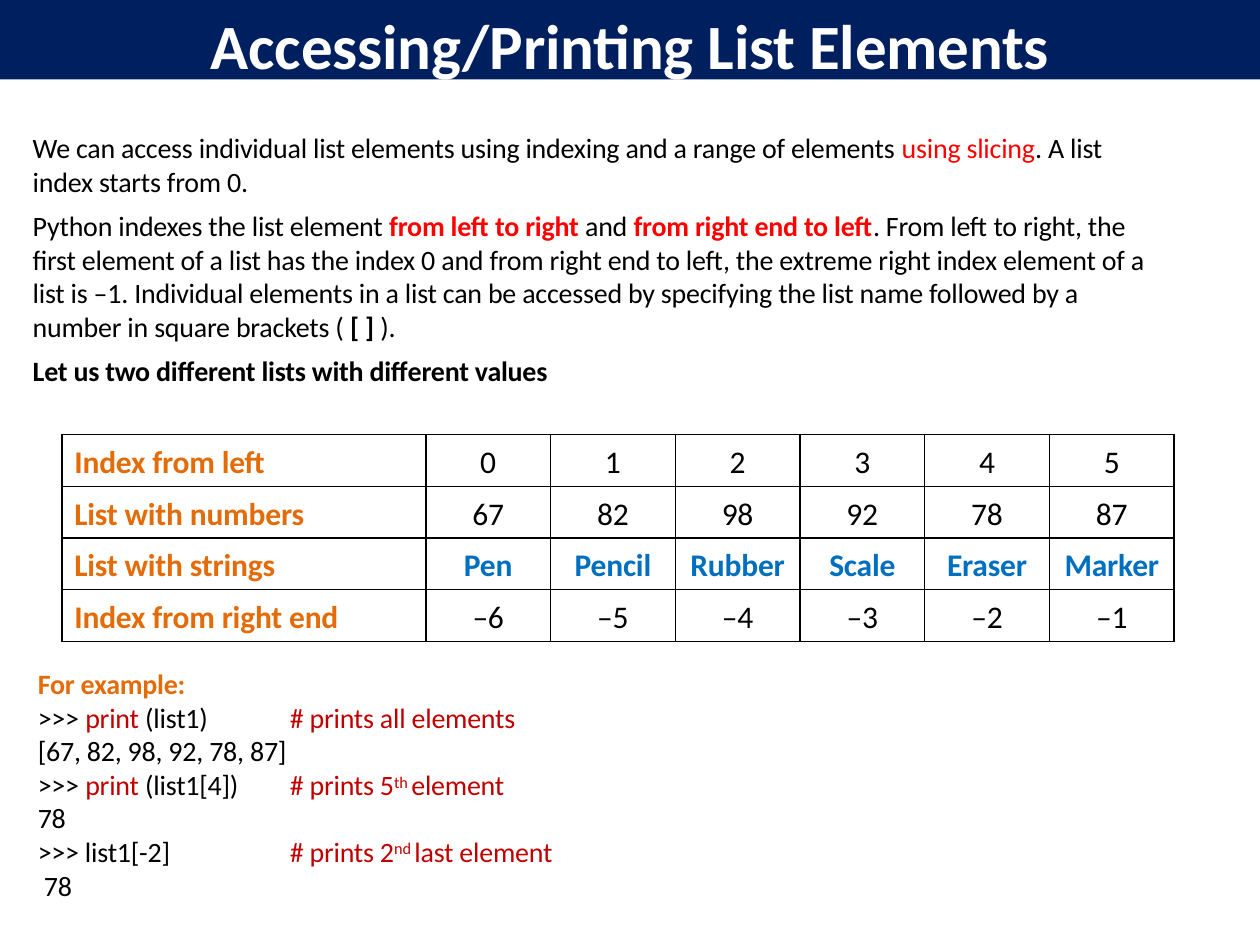
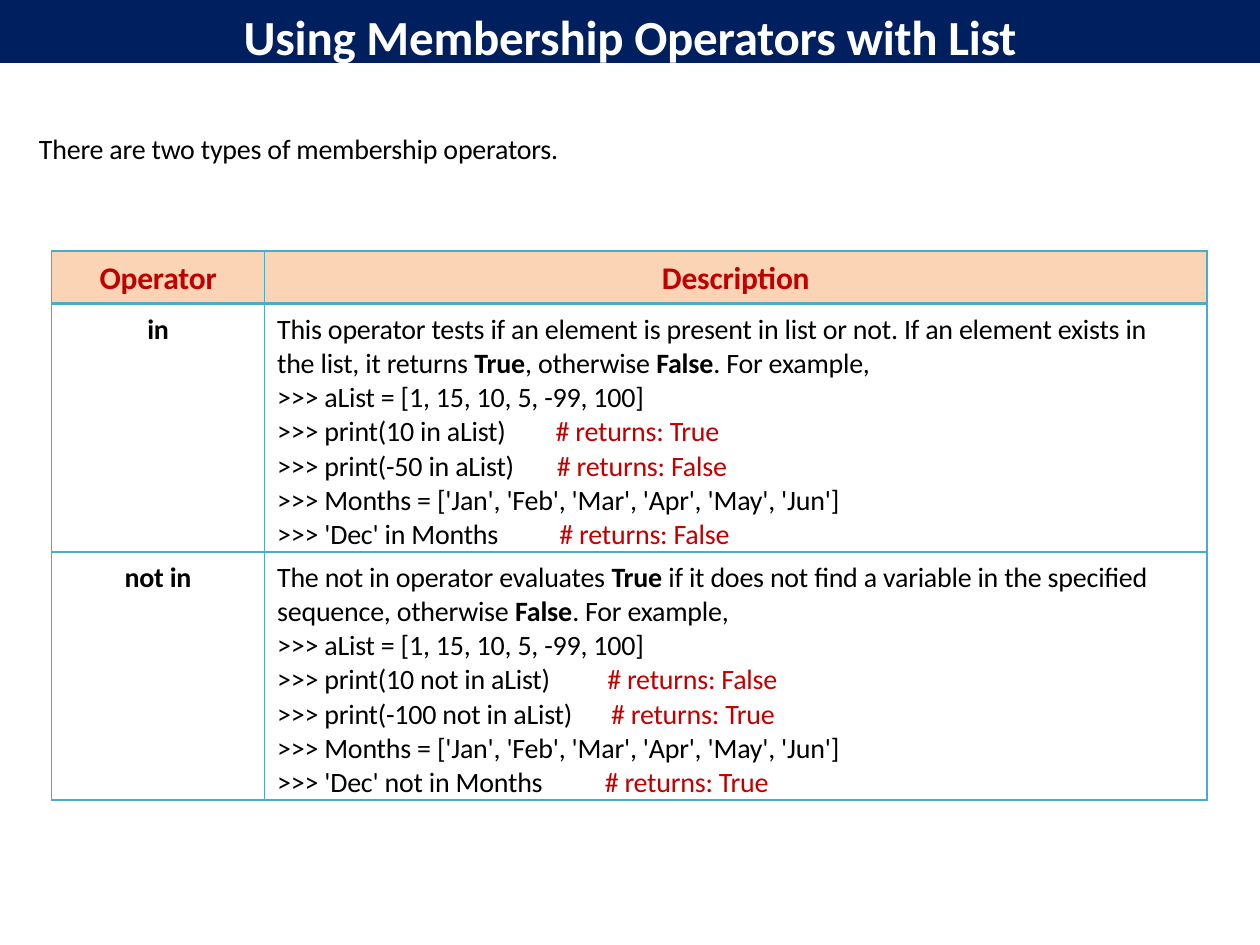
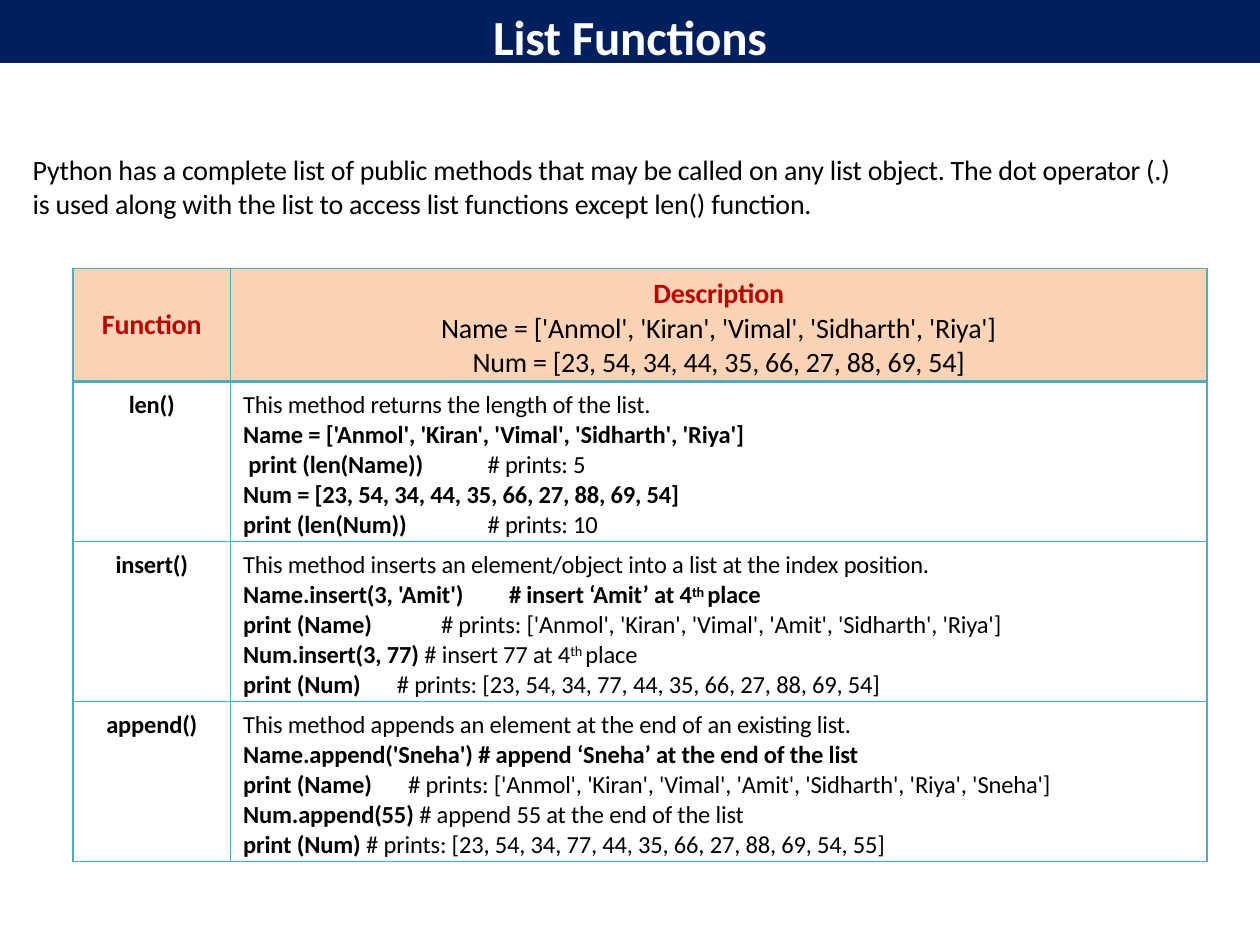
from pptx import Presentation
from pptx.dml.color import RGBColor
from pptx.enum.shapes import MSO_SHAPE
from pptx.enum.text import MSO_ANCHOR, PP_ALIGN
from pptx.oxml import parse_xml
from pptx.oxml.ns import nsdecls
from pptx.util import Inches, Pt

FACE = "Calibri"
TONES = {
    "navy": "001F5F", "white": "FFFFFF", "black": "000000", "red": "FF0000",
    "crimson": "C00000", "orange": "E36C09", "blue": "006FC0",
    "teal": "4AACC5", "peach": "FBD4B5",
}


def write(frame, lines, size, align=PP_ALIGN.LEFT, gap=0):
    """Fill a frame: a line is one part or a list of parts, led by a tab stop if any.

    A part is plain text or (text, style), where style names a tone, bold or sup.
    """
    for n, line in enumerate(lines):
        para = frame.add_paragraph() if n else frame.paragraphs[0]
        para.alignment = align
        if n and gap:
            para.space_before = Pt(gap)
        parts = line if isinstance(line, list) else [line]
        if isinstance(parts[0], float):
            para._p.get_or_add_pPr().append(parse_xml(
                f'<a:tabLst {nsdecls("a")}><a:tab pos="{Inches(parts[0])}" algn="l"/></a:tabLst>'))
            parts = parts[1:]
        para.font.name = FACE
        para.font.size = Pt(size)
        para.font.color.rgb = RGBColor.from_string(TONES["black"])
        for part in parts:
            text, style = part if isinstance(part, tuple) else (part, "")
            run = para.add_run()
            run.text = text
            props = run._r.get_or_add_rPr()
            props.set("spc", "-10")
            font = para.font if len(parts) == 1 else run.font
            for word in style.split():
                if word == "bold":
                    font.bold = True
                elif word == "sup":
                    props.set("baseline", "26000")
                else:
                    font.color.rgb = RGBColor.from_string(TONES[word])


def grid(page, left, top, cols, highs, cells, sizes, tone, side, head):
    """Add a table; column `side` is left-aligned, sizes are for head and body."""
    table = page.shapes.add_table(
        len(highs), len(cols), Inches(left), Inches(top),
        Inches(sum(cols)), Inches(sum(highs))).table
    table.first_row = table.horz_banding = False
    for col, width in zip(table.columns, cols):
        col.width = Inches(width)
    for r, high in enumerate(highs):
        table.rows[r].height = Inches(high)
        for c, lines in enumerate(cells[r]):
            cell = table.cell(r, c)
            top_row = head and r == 0
            flush = c == side and not top_row
            cell.margin_left = Inches(0.1 if flush else 0)
            cell.margin_right = Inches(0.3 if flush else 0)
            cell.margin_top, cell.margin_bottom = Inches(0.07), 0
            for edge in "LRTB":
                thick = head and (r, edge) in ((0, "B"), (1, "T"))
                cell._tc.get_or_add_tcPr().append(parse_xml(
                    f'<a:ln{edge} {nsdecls("a")} w="{Pt(2.25 if thick else 1)}"><a:solidFill>'
                    f'<a:srgbClr val="{TONES[tone]}"/></a:solidFill></a:ln{edge}>'))
            if top_row:
                cell.fill.solid()
                cell.fill.fore_color.rgb = RGBColor.from_string(TONES["peach"])
            else:
                cell.fill.background()
            write(cell.text_frame, lines, sizes[0] if r == 0 else sizes[1],
                  PP_ALIGN.LEFT if flush else PP_ALIGN.CENTER)
    return table


deck = Presentation()
deck.slide_width, deck.slide_height = Inches(10), Inches(7.5)

# Title bands
pages = []
for title, size, high in [
    ("Accessing/Printing List Elements", 36, 0.63),
    ("Using Membership Operators with List", 28, 0.5),
    ("List Functions", 28, 0.5),
]:
    page = deck.slides.add_slide(deck.slide_layouts[6])
    band = page.shapes.add_shape(MSO_SHAPE.RECTANGLE, 0, 0, deck.slide_width, Inches(high))
    band.shadow.inherit = False
    band.fill.solid()
    band.fill.fore_color.rgb = RGBColor.from_string(TONES["navy"])
    band.line.fill.background()
    frame = band.text_frame
    frame.word_wrap = True
    frame.vertical_anchor = MSO_ANCHOR.TOP
    frame.margin_left = frame.margin_right = frame.margin_bottom = 0
    frame.margin_top = Inches(0.05)
    write(frame, [(title, "white bold")], size, PP_ALIGN.CENTER)
    pages.append(page)
access, member, funcs = pages

# Running text and code
intro = [
    ["We can access individual list elements using indexing and a range of elements ",
     ("using slicing", "red"), ". A list index starts from 0."],
    ["Python indexes the list element ", ("from left to right", "red bold"), " and ",
     ("from right end to left", "red bold"),
     ". From left to right, the first element of a list has the index 0 and from right end "
     "to left, the extreme right index element of a list is –1. Individual elements in a "
     "list can be accessed by specifying the list name followed by a number in square "
     "brackets ( ", ("[ ] ", "bold"), ")."],
    ("Let us two different lists with different values", "bold"),
]
first = [("For example:", "orange bold"), [">>> ", ("print ", "crimson"), "(list1)"]]
second = [[">>> ", ("print ", "crimson"), "(list1[4])"], "78", ">>> list1[-2]", " 78"]
fifth = [[("# prints 5", "crimson"), ("th ", "crimson sup"), ("element", "crimson")]]
last = [[("# prints 2", "crimson"), ("nd ", "crimson sup"), ("last element", "crimson")]]
methods = ["Python has a complete list of public methods that may be called on any list "
           "object. The dot operator (.) is used along with the list to access list "
           "functions except len() function."]
for page, left, top, width, high, lines in [
    (access, 0.25, 1.02, 9.04, 2.06, intro),
    (access, 0.29, 5.27, 1.41, 0.56, first),
    (access, 2.29, 5.54, 1.85, 0.29, [("# prints all elements", "crimson")]),
    (access, 0.29, 5.8, 2.04, 0.29, ["[67, 82, 98, 92, 78, 87]"]),
    (access, 2.29, 6.07, 1.85, 0.29, fifth),
    (access, 2.29, 6.6, 2.25, 0.29, last),
    (access, 0.29, 6.07, 1.65, 1.09, second),
    (member, 0.3, 1.02, 4.23, 0.29, ["There are two types of membership operators."]),
    (funcs, 0.25, 1.19, 9.24, 0.56, methods),
]:
    frame = page.shapes.add_textbox(
        Inches(left), Inches(top), Inches(width), Inches(high)).text_frame
    frame.word_wrap = True
    frame.margin_left, frame.margin_top = Inches(0.01), Inches(0.02)
    frame.margin_right, frame.margin_bottom = Inches(0.1 if width > 9 else 0), 0
    write(frame, lines, 16, gap=6 if lines is intro else 0)

# Two lists with their indexes
rows = [
    ("Index from left", range(6), ""),
    ("List with numbers", [67, 82, 98, 92, 78, 87], ""),
    ("List with strings", ["Pen", "Pencil", "Rubber", "Scale", "Eraser", "Marker"], "blue bold"),
    ("Index from right end", [f"–{n}" for n in range(6, 0, -1)], ""),
]
cells = [[[(name, "orange bold")]] + [[(str(item), style)] for item in items]
         for name, items, style in rows]
grid(access, 0.49, 3.45, [2.89] + [0.99] * 6, [0.41] * 4, cells, (18, 18), "black", 0, False)

# Membership operators
nums = ">>> aList = [1, 15, 10, 5, -99, 100]"
months = ">>> Months = ['Jan', 'Feb', 'Mar', 'Apr', 'May', 'Jun']"
true, false = ("# returns: True", "crimson"), ("# returns: False", "crimson")
cells = [
    [[("Operator", "crimson bold")], [("Description", "crimson bold")]],
    [[("in", "bold")], [
        ["This operator tests if an element is present in list or not. If an element exists "
         "in the list, it returns ", ("True", "bold"), ", otherwise ", ("False", "bold"),
         ". For example,"],
        nums,
        [2.21, ">>> print(10 in aList)\t", true],
        [2.22, ">>> print(-50 in aList)\t", false],
        months,
        [2.24, ">>> 'Dec' in Months\t", false],
    ]],
    [[("not in", "bold")], [
        ["The not in operator evaluates ", ("True ", "bold"),
         "if it does not find a variable in the specified sequence, otherwise ",
         ("False", "bold"), ". For example,"],
        nums,
        [2.62, ">>> print(10 not in aList)\t", false],
        [2.65, ">>> print(-100 not in aList)\t", true],
        months,
        [2.6, ">>> 'Dec' not in Months\t", true],
    ]],
]
grid(member, 0.41, 1.99, [1.69, 7.48], [0.42, 1.97, 1.97], cells, (18, 16), "teal", 1, True)

# List functions
names = "Name = ['Anmol', 'Kiran', 'Vimal', 'Sidharth', 'Riya']"
nums = "Num = [23, 54, 34, 44, 35, 66, 27, 88, 69, 54]"
cells = [
    [[("Function", "crimson bold")], [("Description", "crimson bold"), names, nums]],
    [[("len()", "bold")], [
        "This method returns the length of the list.",
        (names, "bold"),
        [1.94, (" print (len(Name))\t", "bold"), "# prints: 5"],
        (nums, "bold"),
        [1.94, ("print (len(Num))\t", "bold"), "# prints: 10"],
    ]],
    [[("insert()", "bold")], [
        "This method inserts an element/object into a list at the index position.",
        [2.11, ("Name.insert(3, 'Amit')\t# insert ‘Amit’ at 4", "bold"),
         ("th ", "bold sup"), ("place", "bold")],
        [1.57, ("print (Name)\t", "bold"),
         "# prints: ['Anmol', 'Kiran', 'Vimal', 'Amit', 'Sidharth', 'Riya']"],
        [("Num.insert(3, 77) ", "bold"), "# insert 77 at 4", ("th ", "sup"), "place"],
        [1.22, ("print (Num)\t", "bold"),
         "# prints: [23, 54, 34, 77, 44, 35, 66, 27, 88, 69, 54]"],
    ]],
    [[("append()", "bold")], [
        "This method appends an element at the end of an existing list.",
        ("Name.append('Sneha') # append ‘Sneha’ at the end of the list", "bold"),
        [1.31, ("print (Name)\t", "bold"),
         "# prints: ['Anmol', 'Kiran', 'Vimal', 'Amit', 'Sidharth', 'Riya', 'Sneha']"],
        [("Num.append(55) ", "bold"), "# append 55 at the end of the list"],
        [("print (Num) ", "bold"),
         "# prints: [23, 54, 34, 77, 44, 35, 66, 27, 88, 69, 54, 55]"],
    ]],
]
table = grid(funcs, 0.58, 2.13, [1.25, 7.75], [0.9] + [1.27] * 3, cells, (16, 14),
             "teal", 1, True)
corner = table.cell(0, 0)
corner.vertical_anchor = MSO_ANCHOR.MIDDLE
corner.margin_top = 0

deck.save("out.pptx")
